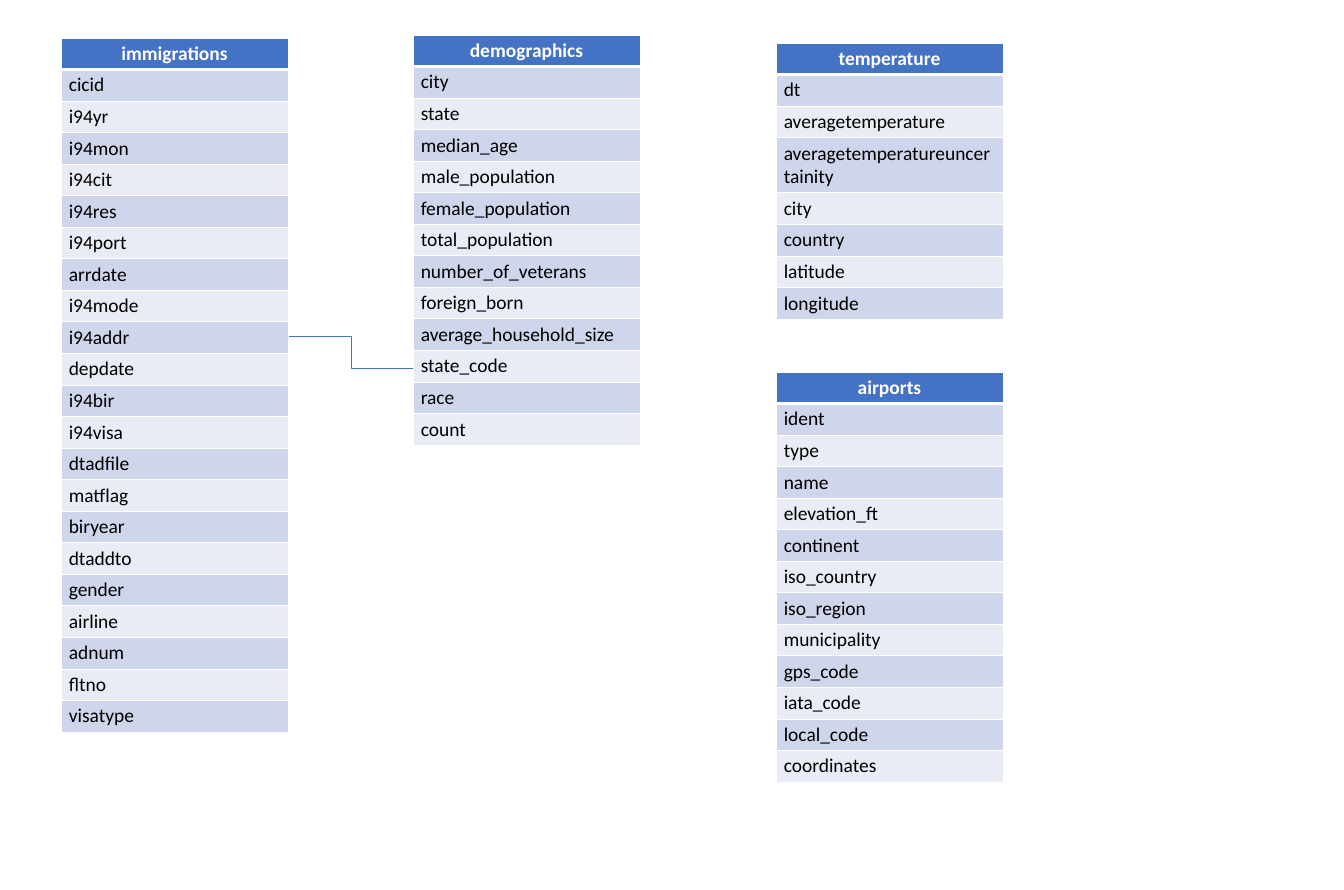
"""Build the data model slide with four schema tables and one join line."""
from lxml.etree import SubElement
from pptx import Presentation
from pptx.dml.color import RGBColor
from pptx.enum.shapes import MSO_CONNECTOR as Connector
from pptx.enum.text import PP_ALIGN as Align
from pptx.oxml.ns import qn
from pptx.util import Emu, Pt

BLUE = RGBColor(0x44, 0x72, 0xC4)
DARK_BAND = RGBColor(0xCF, 0xD5, 0xEA)
LIGHT_BAND = RGBColor(0xE9, 0xEB, 0xF5)
WHITE = RGBColor(0xFF, 0xFF, 0xFF)
BLACK = RGBColor(0x00, 0x00, 0x00)
FONT = "Calibri"
TABLE_WIDTH = 227
ROW_HEIGHT = 30

TABLES = [
    ("immigrations", 61, 38,
     "cicid i94yr i94mon i94cit i94res i94port arrdate i94mode i94addr depdate "
     "i94bir i94visa dtadfile matflag biryear dtaddto gender airline adnum "
     "fltno visatype"),
    ("demographics", 413, 35,
     "city state median_age male_population female_population total_population "
     "number_of_veterans foreign_born average_household_size state_code race count"),
    ("airports", 776, 372,
     "ident type name elevation_ft continent iso_country iso_region municipality "
     "gps_code iata_code local_code coordinates"),
    ("temperature", 776, 43,
     "dt averagetemperature averagetemperatureuncertainity city country "
     "latitude longitude"),
]


def px(pixels):
    return Emu(round(pixels * 914400 / 77.8))


def add_border(cell, side, points):
    line = SubElement(cell._tc.get_or_add_tcPr(), qn(f"a:ln{side}"), w=str(Pt(points)))
    fill = SubElement(line, qn("a:solidFill"))
    SubElement(fill, qn("a:srgbClr"), val=str(WHITE))


presentation = Presentation()
presentation.slide_width = px(1344)
presentation.slide_height = px(890)
slide = presentation.slides.add_slide(presentation.slide_layouts[6])

for name, left, top, columns in TABLES:
    labels = [name] + columns.split()
    table = slide.shapes.add_table(
        len(labels), 1, px(left), px(top),
        px(TABLE_WIDTH), px(ROW_HEIGHT * len(labels))).table
    for index, label in enumerate(labels):
        header = index == 0
        table.rows[index].height = px(ROW_HEIGHT)
        cell = table.cell(index, 0)
        for side in "LRTB":
            thick = (header and side == "B") or (index == 1 and side == "T")
            add_border(cell, side, 3 if thick else 1)
        cell.fill.solid()
        band = DARK_BAND if index % 2 else LIGHT_BAND
        cell.fill.fore_color.rgb = BLUE if header else band
        cell.text_frame.text = label
        paragraph = cell.text_frame.paragraphs[0]
        paragraph.alignment = Align.CENTER if header else Align.LEFT
        font = paragraph.runs[0].font
        font.name = FONT
        font.size = Pt(18)
        font.bold = header
        font.color.rgb = WHITE if header else BLACK

join_line = slide.shapes.add_connector(
    Connector.ELBOW, px(289), px(336), px(413), px(368))
join_line.line.color.rgb = BLUE
join_line.line.width = Pt(0.5)
SubElement(join_line._element.spPr, qn("a:effectLst"))

presentation.save("out.pptx")
